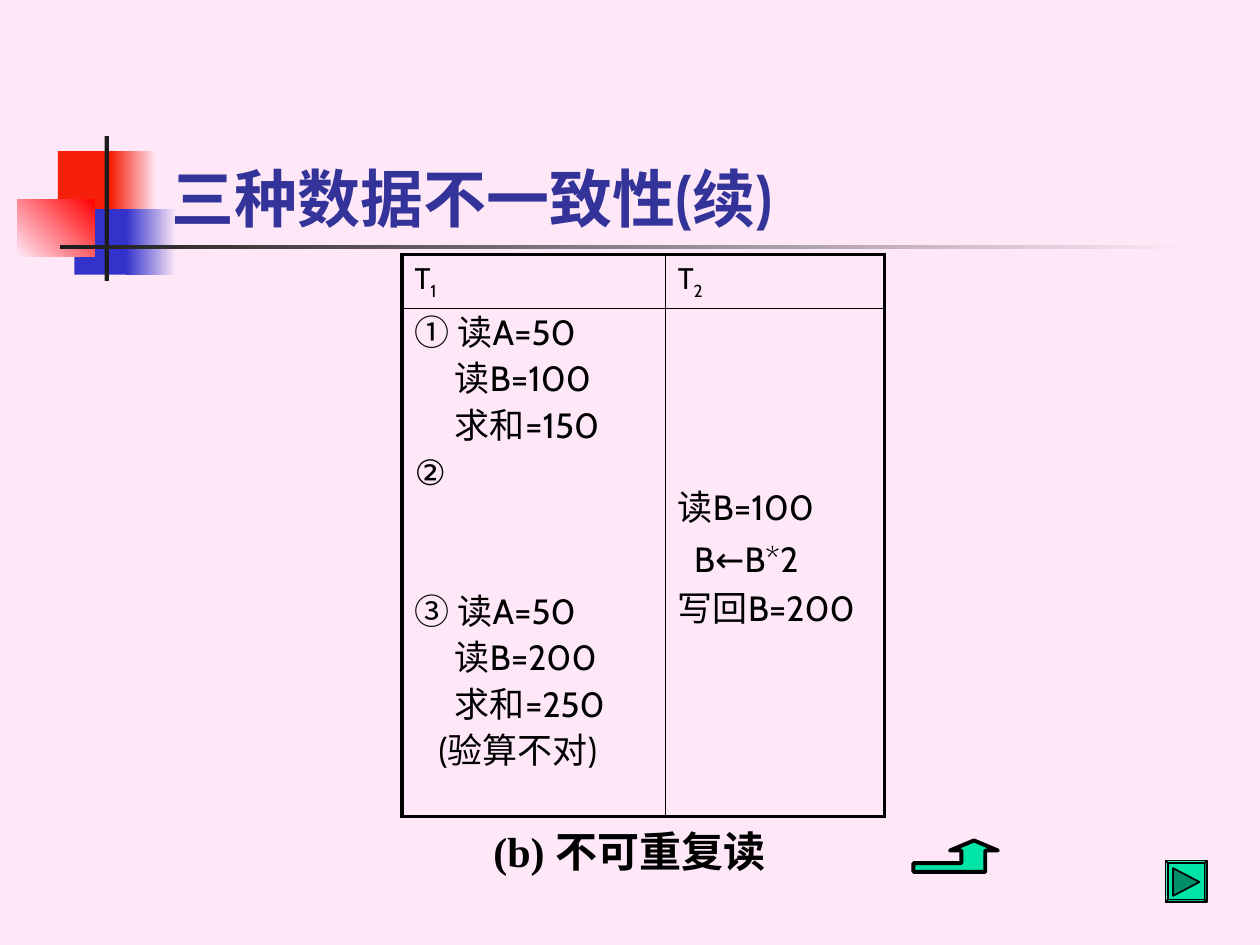
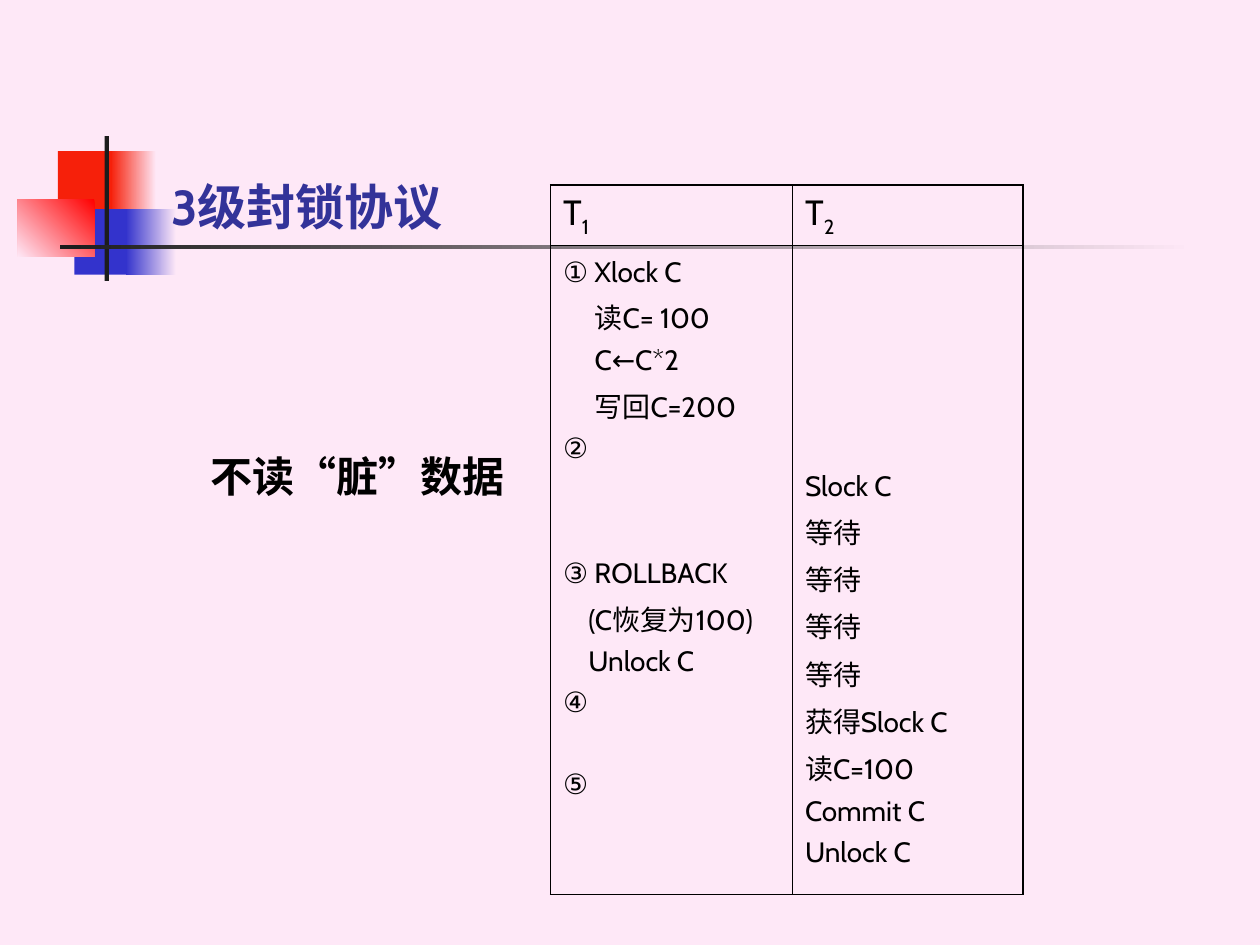
"""Build two slides on data inconsistency and the level-3 locking protocol."""
import dataclasses

import lxml.etree
import pptx
import pptx.dml.color
import pptx.enum.shapes
import pptx.enum.text
import pptx.oxml.ns
import pptx.util


@dataclasses.dataclass(frozen=True)
class Theme:
    pink: str = "FEE8F7"
    red: str = "F6200A"
    bright_red: str = "FF0000"
    blue: str = "3333CC"
    title: str = "333399"
    dark: str = "1C1C1C"
    black: str = "000000"
    green: str = "00E4A8"
    deep_green: str = "008F69"
    font: str = "Cabin"
    caption_font: str = "Times New Roman"
    caption_size: int = 24


theme = Theme()
Pt = pptx.util.Pt
RGB = pptx.dml.color.RGBColor.from_string
SHAPE = pptx.enum.shapes.MSO_SHAPE

prs = pptx.Presentation()
prs.slide_width = pptx.util.Inches(10)
prs.slide_height = pptx.util.Inches(7.5)
col, row = prs.slide_width / 100, prs.slide_height / 75


def box(x, y, w, h):
    return int(x * col), int(y * row), int(w * col), int(h * row)


def style(font, size, color, name=theme.font, bold=False):
    font.size, font.name, font.bold = Pt(size), name, bold
    font.color.rgb = RGB(color)


slides = [
    {
        "title": "三种数据不一致性(续)", "title_box": (12.6, 6.7, 85.2, 12.5), "title_size": 36,
        "caption": "(b) 不可重复读", "caption_box": (35.8, 64.2, 28.3, 6.7),
        "table_box": (31.9, 20.2, 38.3, 44.6), "cols": (20.9, 17.4), "rows": (4.3, 40.3),
        "head_size": 17, "size": 20, "outer": 2.25, "inner": 1, "space": 0,
        "pitch": (26.6, 28.9), "tops": (0, 13.6),
        "steps": (
            [("① 读A=50", 0, 0), ("读B=100", 3.2, 0), ("求和=150", 3.2, 0), ("②", 0, 0),
             ("③ 读A=50", 0, 53), ("读B=200", 3.2, 0), ("求和=250", 3.2, 0),
             ("(验算不对)", 1.9, 0)],
            [("读B=100", 0, 0), ("B←B*2", 1.3, 0), ("写回B=200", 0, 0)],
        ),
    },
    {
        "title": "3级封锁协议", "title_box": (12.6, 11.5, 24.8, 7.7), "title_size": 28,
        "caption": "不读“脏”数据", "caption_box": (15.7, 34.4, 25.3, 6.7),
        "table_box": (43.7, 14.7, 37.5, 56.3), "cols": (19.2, 18.3), "rows": (4.8, 51.5),
        "head_size": 20, "size": 16, "outer": 1.08, "inner": 0.45, "space": 4,
        "pitch": (None, None), "tops": (0.8, 17.8),
        "steps": (
            [("① Xlock C", 0, 0), ("读C= 100", 2.5, 0), ("C←C*2", 2.5, 0),
             ("写回C=200", 2.5, 0), ("②", 0, 0), ("③ ROLLBACK", 0, 48),
             ("(C恢复为100)", 2, 0), ("Unlock C", 2, 0), ("④", 0, 0), ("⑤", 0, 23.4)],
            [("Slock C", 0, 0)] + [("等待", 0, 0)] * 4
            + [("获得Slock C", 0, 0), ("读C=100", 0, 0), ("Commit C", 0, 0),
               ("Unlock C", 0, 0)],
        ),
    },
]

prs.slide_master.background.fill.solid()
prs.slide_master.background.fill.fore_color.rgb = RGB(theme.pink)
layout = prs.slide_layouts[5]

for content in slides:
    slide = prs.slides.add_slide(layout)
    title = slide.shapes.title
    title.left, title.top, title.width, title.height = box(*content["title_box"])
    tf = title.text_frame
    tf.text = content["title"]
    tf.auto_size = pptx.enum.text.MSO_AUTO_SIZE.NONE
    tf.vertical_anchor = pptx.enum.text.MSO_ANCHOR.BOTTOM
    p = tf.paragraphs[0]
    p.alignment = pptx.enum.text.PP_ALIGN.LEFT
    style(p.runs[0].font, content["title_size"], theme.title, bold=True)

    frame = slide.shapes.add_table(2, 2, *box(*content["table_box"]))
    table = frame.table
    table.first_row = table.horz_banding = False
    for i in range(2):
        table.columns[i].width = int(content["cols"][i] * col)
        table.rows[i].height = int(content["rows"][i] * row)

    for r in range(2):
        for c in range(2):
            cell = table.cell(r, c)
            cell.fill.background()
            edges = {"lnL": c == 0, "lnR": c == 1, "lnT": r == 0, "lnB": r == 1}
            tcPr = cell._tc.get_or_add_tcPr()
            for i, (edge, is_outer) in enumerate(edges.items()):
                ln = lxml.etree.Element(pptx.oxml.ns.qn("a:" + edge))
                ln.set("w", str(Pt(content["outer" if is_outer else "inner"])))
                fill = lxml.etree.SubElement(ln, pptx.oxml.ns.qn("a:solidFill"))
                lxml.etree.SubElement(fill, pptx.oxml.ns.qn("a:srgbClr"), val=theme.black)
                tcPr.insert(i, ln)

    for c, steps in enumerate(content["steps"]):
        p = table.cell(0, c).text_frame.paragraphs[0]
        for text in ("T", str(c + 1)):
            run = p.add_run()
            run.text = text
            style(run.font, content["head_size"], theme.black)
        run._r.get_or_add_rPr().set("baseline", "-25000")

        cell = table.cell(1, c)
        cell.margin_top = int(content["tops"][c] * row)
        cell.margin_bottom = 0
        tf = cell.text_frame
        tf.text = "\n".join(text for text, indent, gap in steps)
        for i, (p, (text, indent, gap)) in enumerate(zip(tf.paragraphs, steps)):
            p._p.get_or_add_pPr().set("marL", str(int(indent * col)))
            p.space_before = Pt(content["space"] + gap if i else 0)
            if content["pitch"][c]:
                p.line_spacing = Pt(content["pitch"][c])
            style(p.runs[0].font, content["size"], theme.black)

    caption = slide.shapes.add_textbox(*box(*content["caption_box"]))
    tf = caption.text_frame
    tf.text = content["caption"]
    tf.word_wrap = False
    tf.vertical_anchor = pptx.enum.text.MSO_ANCHOR.MIDDLE
    p = tf.paragraphs[0]
    p.alignment = pptx.enum.text.PP_ALIGN.CENTER
    style(p.runs[0].font, theme.caption_size, theme.black, theme.caption_font, True)

first = prs.slides[0]
decor = [
    ((4.6, 12, 4.8, 5.2), (theme.red,), 0),
    ((8.8, 12, 3.6, 5.2), (theme.pink, theme.red), 180),
    ((5.9, 16.6, 4.6, 5.2), (theme.blue,), 0),
    ((10, 16.6, 4, 5.2), (theme.pink, theme.blue), 180),
    ((1.4, 15.8, 6.1, 4.6), (theme.bright_red, theme.pink), 225),
    ((8.3, 10.8, 0.35, 11.5), (theme.dark,), 0),
    ((4.8, 19.45, 90, 0.35), (theme.pink, theme.dark), 180),
]
for i, (place, colors, angle) in enumerate(decor):
    sp = first.shapes.add_shape(SHAPE.RECTANGLE, *box(*place))
    sp.shadow.inherit = False
    sp.line.fill.background()
    if len(colors) == 1:
        sp.fill.solid()
        sp.fill.fore_color.rgb = RGB(colors[0])
    else:
        sp.fill.gradient()
        sp.fill.gradient_angle = angle
        for stop, color in zip(sp.fill.gradient_stops, colors):
            stop.color.rgb = RGB(color)
    sp.element.nvSpPr.cNvPr.set("id", str(100 + i))
    layout.shapes.element.insert(2 + i, sp.element)

button = first.shapes.add_shape(SHAPE.BEVEL, *box(92.5, 68.3, 3.3, 3.3))
button.adjustments[0] = 0.06
outlines = [
    [(72.5, 68.5), (76.3, 68.5), (76.3, 67.5), (75.4, 67.5), (77.3, 66.7),
     (79.2, 67.5), (78.2, 67.5), (78.2, 69.2), (72.5, 69.2)],
    [(93.1, 68.9), (95.2, 70), (93.1, 71.1)],
]
arrow, triangle = [
    first.shapes.build_freeform(int(x * col), int(y * row))
    .add_line_segments([(int(a * col), int(b * row)) for a, b in rest], close=True)
    .convert_to_shape()
    for (x, y), *rest in outlines
]
for sp, color, width in ((button, theme.green, 1), (arrow, theme.green, 2.25),
                         (triangle, theme.deep_green, 1)):
    sp.shadow.inherit = False
    sp.fill.solid()
    sp.fill.fore_color.rgb = RGB(color)
    sp.line.color.rgb = RGB(theme.black)
    sp.line.width = Pt(width)

prs.save("out.pptx")
